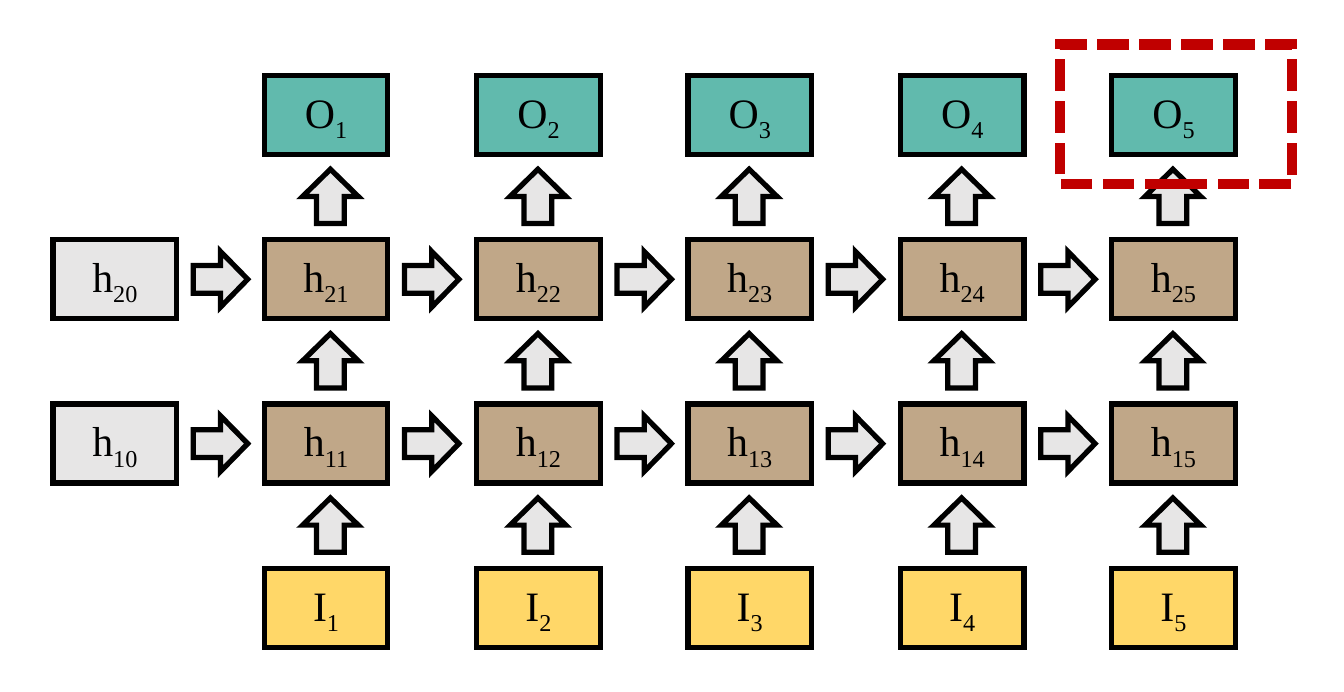
from lxml.etree import SubElement
from pptx import Presentation
from pptx.dml.color import RGBColor
from pptx.enum.shapes import MSO_SHAPE
from pptx.enum.text import MSO_ANCHOR, PP_ALIGN
from pptx.oxml.ns import qn
from pptx.util import Pt

# Rows from top to bottom: letter, kind, subscripts, first column
ROWS = [
    ("O", "output", "1 2 3 4 5", 1),
    ("h", "hidden", "20 21 22 23 24 25", 0),
    ("h", "hidden", "10 11 12 13 14 15", 0),
    ("I", "input", "1 2 3 4 5", 1),
]
THEME = {
    "output": "61BAAD", "hidden": "C0A788", "input": "FFD768",
    "start": "E7E6E6", "arrow": "E7E6E6", "ink": "000000", "mark": "C00000",
    "font": "Times New Roman", "size": 24, "line": 3, "thick": 6,
}

# Lengths in px, 40 to the centimetre
PX = 9000
WIDE, HIGH = 1088, 560
LEFT, TOP = 43, 61
STEP_X, STEP_Y = 171.4, 133
BOX = (100, 64)
ARROW = (45, 44)
UP = (27, 76)
RIGHT = (113, 10)
NUDGE = {1: 4}
FRAME = (858, 36, 188, 113)


def spot(col, row):
    """Top left corner of a grid cell."""
    return LEFT + round(STEP_X * col), TOP + STEP_Y * row


def draw(slide, kind, area, fill, ink="ink", width="line", dash=None):
    shape = slide.shapes.add_shape(kind, *(n * PX for n in area))
    shape.shadow.inherit = False
    if fill:
        shape.fill.solid()
        shape.fill.fore_color.rgb = RGBColor.from_string(THEME[fill])
    else:
        shape.fill.background()
    shape.line.color.rgb = RGBColor.from_string(THEME[ink])
    shape.line.width = Pt(THEME[width])
    edge = shape.line._get_or_add_ln()
    if dash:
        SubElement(edge, qn("a:prstDash"), val=dash)
    SubElement(edge, qn("a:miter"), lim="800000")
    return shape


def label(shape, letter, index):
    frame = shape.text_frame
    frame.vertical_anchor = MSO_ANCHOR.MIDDLE
    para = frame.paragraphs[0]
    para.alignment = PP_ALIGN.CENTER
    font = para.font
    font.name, font.size = THEME["font"], Pt(THEME["size"])
    font.color.rgb = RGBColor.from_string(THEME["ink"])
    para.add_run().text = letter
    sub = para.add_run()
    sub.text = index
    sub.font._element.set("baseline", "-25000")


def arrow(slide, left, top, turn=0):
    shape = draw(slide, MSO_SHAPE.UP_ARROW, (left, top, *ARROW), "arrow")
    shape.rotation = turn


def main():
    deck = Presentation()
    deck.slide_width, deck.slide_height = WIDE * PX, HIGH * PX
    slide = deck.slides.add_slide(deck.slide_layouts[6])

    for row, (letter, kind, marks, first) in enumerate(ROWS):
        for col, index in enumerate(marks.split(), first):
            x, y = spot(col, row)
            fill = kind if col else "start"
            box = draw(slide, MSO_SHAPE.RECTANGLE, (x, y, *BOX), fill)
            label(box, letter, index)
            if col and row < len(ROWS) - 1:
                arrow(slide, x + UP[0] + NUDGE.get(col, 0), y + UP[1])
            if kind == "hidden" and col < 5:
                arrow(slide, x + RIGHT[0], y + RIGHT[1], 90)

    draw(slide, MSO_SHAPE.RECTANGLE, FRAME, None, "mark", "thick", "sysDash")
    deck.save("out.pptx")


if __name__ == "__main__":
    main()
